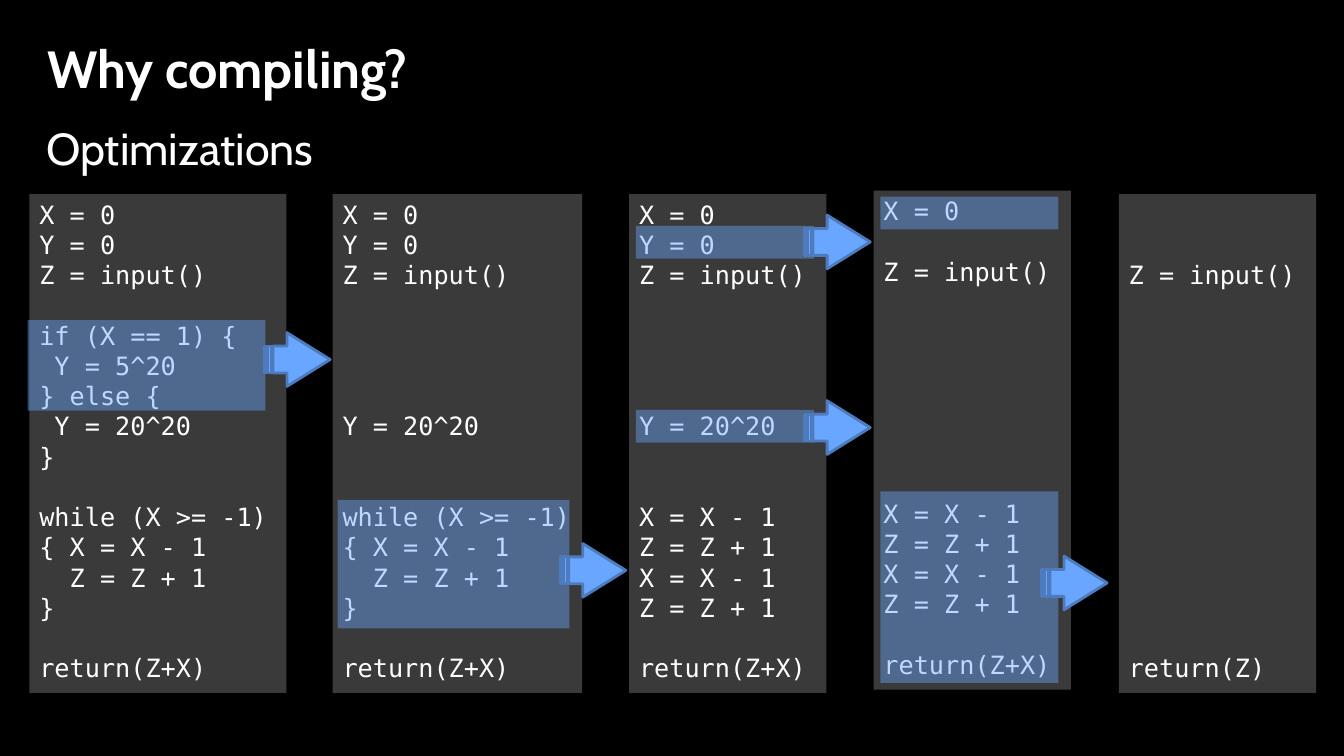
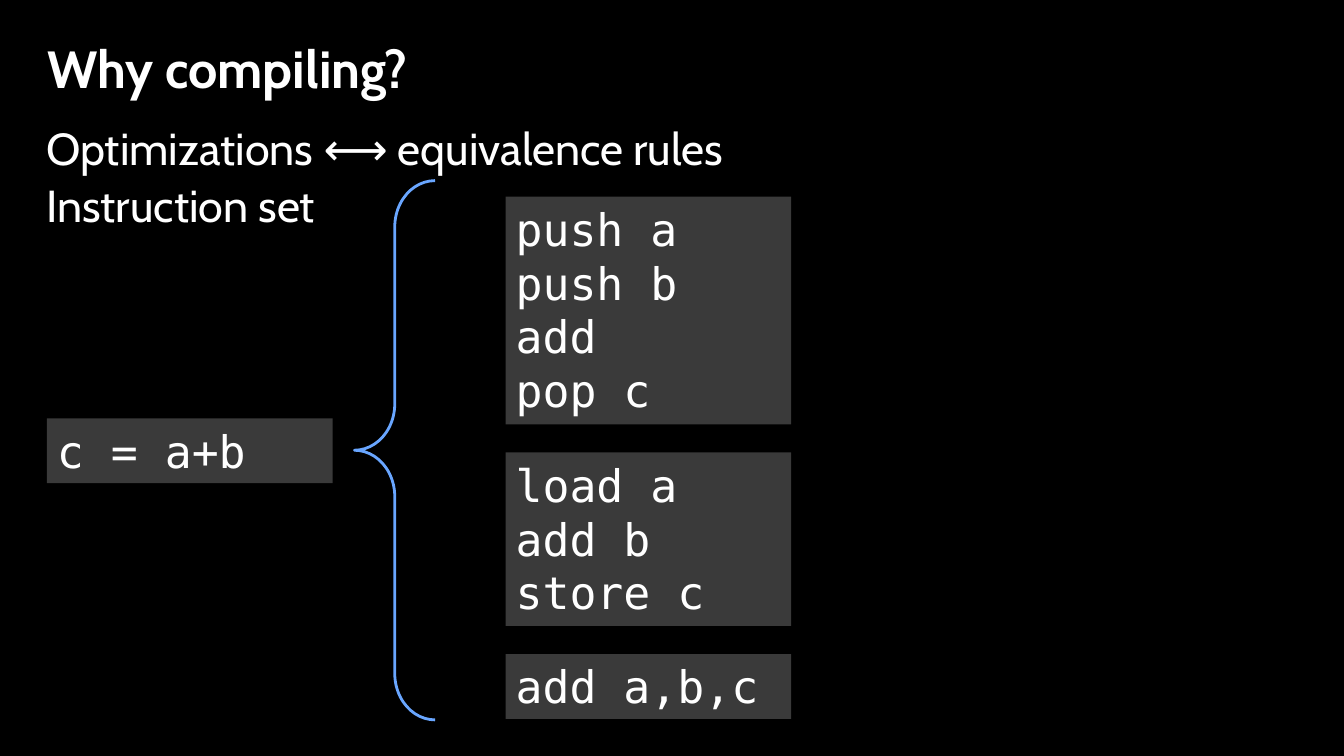
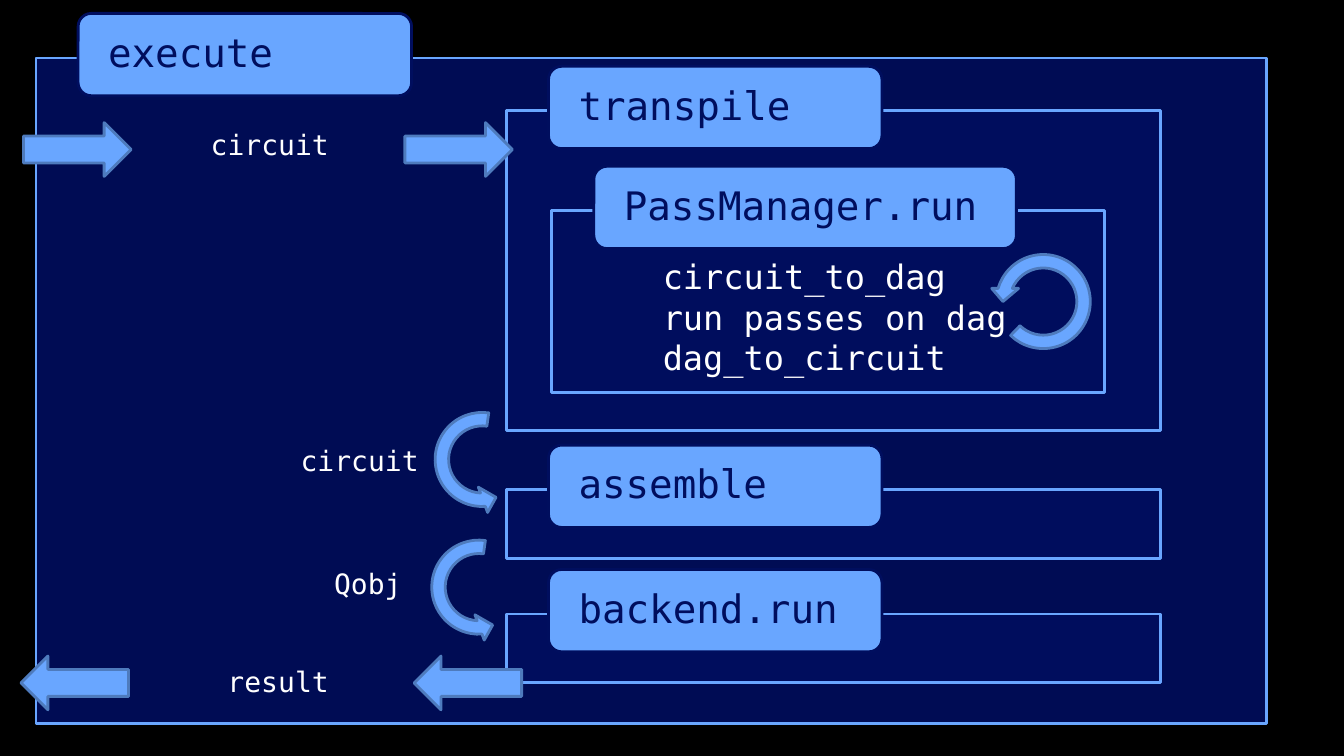
from dataclasses import dataclass

from lxml import etree
from pptx import Presentation
from pptx import util as u
from pptx.dml.color import RGBColor
from pptx.enum import shapes, text
from pptx.oxml import ns

# Shared look
BLACK = RGBColor(0x00, 0x00, 0x00)
WHITE = RGBColor(0xFF, 0xFF, 0xFF)
GREY = RGBColor(0x3A, 0x3A, 0x3A)
SKY = RGBColor(0x69, 0xA6, 0xFF)
STEEL = RGBColor(0x4E, 0x7B, 0xBD)
NAVY = RGBColor(0x00, 0x0E, 0x5E)
SANS = "Cabin"
MONO = "DejaVu Sans Mono"
KIND = shapes.MSO_SHAPE

# The slide is a grid of 160 columns by 90 rows
COLS, ROWS = 160, 90
WIDE, HIGH = u.Inches(13.333), u.Inches(7.5)
LEAD = 1.2  # code line height per point of size
PAD = u.Inches(0.1), u.Inches(0.05)
ARC = 12.8  # side of a round arrow


@dataclass(frozen=True)
class Box:
    x: float
    y: float
    w: float
    h: float

    def place(self) -> tuple[int, int, int, int]:
        col, row = WIDE / COLS, HIGH / ROWS
        return (round(self.x * col), round(self.y * row),
                round(self.w * col), round(self.h * row))


@dataclass(frozen=True)
class Panel:
    name: str
    frame: Box
    tab: float = 39.7
    code: str = ""


@dataclass(frozen=True)
class Arc:
    x: float
    y: float
    turn: float
    start: float


@dataclass(frozen=True)
class Label:
    words: str
    x: float
    y: float


def style(para, size: float, color: RGBColor, face: str, bold: bool = False) -> None:
    for run in para.runs:
        font = run.font
        font.size, font.name, font.bold = u.Pt(size), face, bold
        font.color.rgb = color


def shape(slide, kind, box: Box, fill=None, line=None, alpha: int = 100):
    item = slide.shapes.add_shape(kind, *box.place())
    item.shadow.inherit = False
    if fill is None:
        item.fill.background()
    else:
        item.fill.solid()
        item.fill.fore_color.rgb = fill
        if alpha < 100:
            tint = item.element.spPr.find(".//" + ns.qn("a:srgbClr"))
            etree.SubElement(tint, ns.qn("a:alpha"), val=str(alpha * 1000))
    if line is None:
        item.line.fill.background()
    else:
        item.line.color.rgb = line
        item.line.width = u.Pt(2)
    return item


def write(item, code: str, size: float, left=PAD[0], top=PAD[1]) -> None:
    """Set code; each empty line becomes space above the next one."""
    frame = item.text_frame
    frame.vertical_anchor = text.MSO_ANCHOR.TOP
    pitch, gap, first = u.Pt(size * LEAD), 0, True
    for row in code.split("\n"):
        if not row:
            gap += 1
            continue
        if first:
            para = frame.paragraphs[0]
            frame.margin_left, frame.margin_top = left, top + gap * pitch
        else:
            para = frame.add_paragraph()
            para.space_before = gap * pitch
        para.text = row
        para.alignment = text.PP_ALIGN.LEFT
        para.line_spacing = pitch
        style(para, size, WHITE, MONO)
        gap, first = 0, False


def code_box(slide, box: Box, code: str, size: float) -> None:
    item = shape(slide, KIND.RECTANGLE, box, GREY)
    item.text_frame.word_wrap = True
    write(item, code, size)


def fill_holder(holder, box: Box, lines: list[str], size: float, bold: bool) -> None:
    holder.left, holder.top, holder.width, holder.height = box.place()
    frame = holder.text_frame
    frame.auto_size = text.MSO_AUTO_SIZE.NONE
    frame.vertical_anchor = text.MSO_ANCHOR.TOP
    frame.margin_left = frame.margin_right = 0
    frame.margin_top = frame.margin_bottom = 0
    frame.text = "\n".join(lines)
    for i, para in enumerate(frame.paragraphs):
        props = para._p.get_or_add_pPr()
        props.set("marL", "0")
        props.set("indent", "0")
        etree.SubElement(props, ns.qn("a:buNone"))
        para.alignment = text.PP_ALIGN.LEFT
        para.line_spacing = 0.9
        para.space_before = u.Pt(6 if i else 0)
        style(para, size, WHITE, SANS, bold)


def topic(deck, lines: list[str]):
    slide = deck.slides.add_slide(deck.slide_layouts[1])
    fill_holder(slide.shapes.title, Box(5.6, 5.2, 151, 13.7),
                ["Why compiling?"], 37.3, True)
    fill_holder(slide.placeholders[1], Box(5.5, 15.1, 154.5, 6.8 * len(lines)),
                lines, 32, False)
    return slide


def arrow(slide, kind, box: Box, turn: float = 0):
    item = shape(slide, kind, box, SKY, STEEL)
    item.rotation = turn
    return item


def draw_arc(slide, arc: Arc) -> None:
    item = arrow(slide, KIND.CIRCULAR_ARROW, Box(arc.x, arc.y, ARC, ARC), arc.turn)
    item.element.spPr.xfrm.set("flipH", "1")
    for i, value in enumerate((0.125, 11.423, 204.577, arc.start, 0.125)):
        item.adjustments[i] = value


def draw_panel(slide, panel: Panel) -> None:
    frame = panel.frame
    body = shape(slide, KIND.RECTANGLE, frame, NAVY, SKY, 90)
    if panel.code:
        write(body, panel.code, 24, u.Inches(1.1))
    tab = shape(slide, KIND.ROUNDED_RECTANGLE,
                Box(frame.x + 5, frame.y - 5.3, panel.tab, 9.8), SKY, NAVY)
    tab.adjustments[0] = 0.16
    words = tab.text_frame
    words.margin_left = words.margin_right = u.Inches(0.26)
    words.vertical_anchor = text.MSO_ANCHOR.MIDDLE
    words.text = panel.name
    para = words.paragraphs[0]
    para.alignment = text.PP_ALIGN.LEFT
    para.line_spacing = 0.9
    style(para, 28, NAVY, MONO)


def draw_label(slide, label: Label) -> None:
    box = Box(label.x, label.y, 2.4 + 2.02 * len(label.words), 5.3)
    item = slide.shapes.add_textbox(*box.place())
    item.text_frame.word_wrap = False
    write(item, label.words, 20)


# Slide 1: code shrinking step by step
HEAD = "X = 0\nY = 0\nZ = input()\n\n"
LOOP = "while (X >= -1)\n{ X = X - 1\n  Z = Z + 1\n}\n\nreturn(Z+X)"
FLAT = "X = X - 1\nZ = Z + 1\nX = X - 1\nZ = Z + 1\n\nreturn(Z+X)"
POWER = "\n\n\nY = 20^20\n\n\n"
STAGES = [
    (3.5, 23.1, 30.6,
     HEAD + "if (X == 1) {\n Y = 5^20\n} else {\n Y = 20^20\n}\n\n" + LOOP),
    (39.6, 23.1, 29.7, HEAD + POWER + LOOP),
    (74.9, 23.1, 23.5, HEAD + POWER + FLAT),
    (104, 22.7, 23.5, "X = 0\n\nZ = input()" + "\n" * 8 + FLAT),
    (133.2, 23.1, 23.5, "\n\nZ = input()" + "\n" * 13 + "return(Z)"),
]
MARKS = [
    Box(40.2, 59.5, 27.6, 15.3), Box(3.3, 38.1, 28.3, 10.8),
    Box(75.7, 48.8, 21.2, 3.9), Box(75.7, 26.9, 21.2, 3.9),
    Box(104.8, 23.4, 21.2, 3.9), Box(104.8, 58.5, 21.2, 22.8),
]
STEPS = [(31.5, 39.6), (66.7, 64.7), (124, 66.2), (95.8, 25.6), (95.8, 47.7)]


def passes(deck) -> None:
    slide = topic(deck, ["Optimizations"])
    for x, y, wide, code in STAGES:
        code_box(slide, Box(x, y, wide, 59.4), code, 18)
    for mark in MARKS:
        shape(slide, KIND.RECTANGLE, mark, SKY, alpha=43)
    for x, y in STEPS:
        item = arrow(slide, KIND.STRIPED_RIGHT_ARROW, Box(x, y, 7.8, 6.4))
        item.adjustments[0], item.adjustments[1] = 0.5, 0.802


# Slide 2: one sum in three instruction sets
SETS = ["push a\npush b\nadd\npop c", "load a\nadd b\nstore c", "add a,b,c"]


def tall(code: str) -> float:
    return 1.24 + 6.47 * len(code.split("\n"))


def rules(deck) -> None:
    slide = topic(deck, ["Optimizations ⟷ equivalence rules", "Instruction set"])
    brace = shape(slide, KIND.LEFT_BRACE, Box(42.2, 21.5, 9.6, 64.2), line=SKY)
    brace.adjustments[0], brace.adjustments[1] = 0.575, 0.5
    code_box(slide, Box(5.6, 49.8, 34, tall("c")), "c = a+b", 32)
    top = 23.4
    for code in SETS:
        code_box(slide, Box(60.2, top, 34, tall(code)), code, 32)
        top += tall(code) + 3.35


# Slide 3: nested calls
PANELS = [
    Panel("execute", Box(4.3, 6.9, 146.5, 79.2)),
    Panel("transpile", Box(60.3, 13.2, 77.9, 38.1)),
    Panel("assemble", Box(60.3, 58.3, 77.9, 8.2)),
    Panel("backend.run", Box(60.3, 73.1, 77.9, 8.2)),
    Panel("PassManager.run", Box(65.7, 25.1, 65.8, 21.6), 50.3,
          "\ncircuit_to_dag\nrun passes on dag\ndag_to_circuit"),
]
ARCS = [Arc(51, 48.3, 249.9, 91.151), Arc(50.6, 63.5, 249.9, 91.151),
        Arc(117.8, 29.5, 0, 27.654)]
LABELS = [Label("circuit", 34.6, 52.2), Label("Qobj", 38.6, 66.8),
          Label("circuit", 23.9, 14.6), Label("result", 25.9, 78.5)]
FLOWS = [(2.8, 14.6, 0), (48.2, 14.6, 0), (2.5, 78.1, 180), (49.3, 78.1, 180)]


def calls(deck) -> None:
    slide = deck.slides.add_slide(deck.slide_layouts[6])
    for panel in PANELS:
        draw_panel(slide, panel)
    for arc in ARCS:
        draw_arc(slide, arc)
    for label in LABELS:
        draw_label(slide, label)
    for x, y, turn in FLOWS:
        arrow(slide, KIND.RIGHT_ARROW, Box(x, y, 12.8, 6.4), turn)


def main() -> None:
    deck = Presentation()
    deck.slide_width, deck.slide_height = WIDE, HIGH
    ground = deck.slide_master.background.fill
    ground.solid()
    ground.fore_color.rgb = BLACK
    passes(deck)
    rules(deck)
    calls(deck)
    deck.save("out.pptx")


if __name__ == "__main__":
    main()
